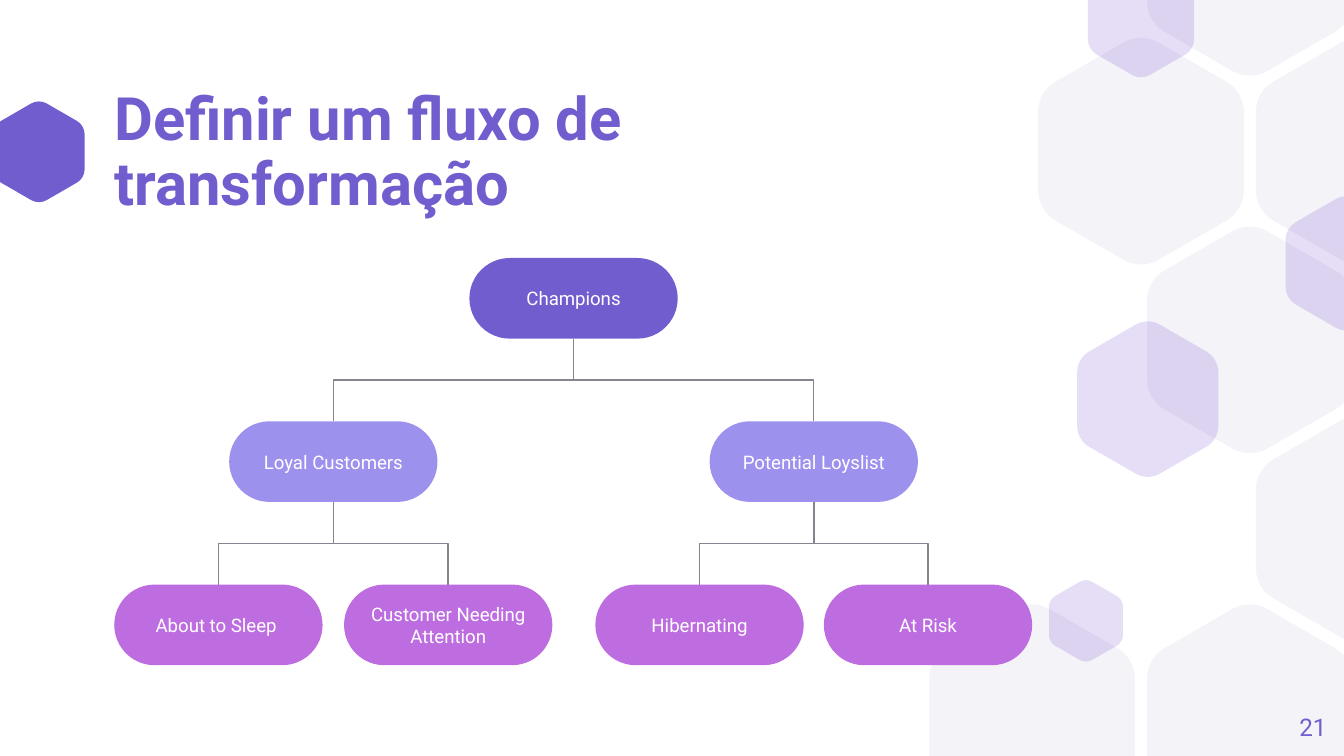
from dataclasses import dataclass
from itertools import chain
from math import sqrt

from lxml import etree
from pptx import Presentation
from pptx import util as u
from pptx.dml.color import RGBColor
from pptx.enum import shapes, text
from pptx.oxml.ns import qn


@dataclass(frozen=True)
class Theme:
    """Colours, font and type sizes of the deck."""
    font: str = "Roboto"
    violet: str = "725DCF"
    lilac: str = "9D91EE"
    orchid: str = "BD6DE0"
    pale: str = "F4F3F8"
    tint: str = "5322C9"
    rule: str = "89828F"
    white: str = "FFFFFF"
    title_size: int = 32
    number_size: int = 13
    node_size: int = 10
    rule_width: float = 0.75


THEME = Theme()
COLUMNS, ROWS = 10, 5.625
WIDTH, HEIGHT = u.Inches(COLUMNS), u.Inches(ROWS)
NODE_WIDTH, NODE_HEIGHT = 1.55, 0.6
TREE_TOP, LEVEL_STEP = 1.92, 1.215
LEVELS = [
    (THEME.violet, ["Champions"]),
    (THEME.lilac, ["Loyal Customers", "Potential Loyslist"]),
    (THEME.orchid, ["About to Sleep ", "Customer Needing Attention", "Hibernating", "At Risk"]),
]
LEAF_LEFTS = [0.85, 2.56, 4.43, 6.13]
COMB_CELLS = [(0, 4), (2, 4), (3, 1), (2, 0), (2, 2), (1, 1), (3, 3)]
TINTED_HEXAGONS = [(10.02, 1.96, 0.91), (8.08, 4.62, 0.55), (8.49, 0.14, 0.79), (8.54, 2.97, 1.05)]


def grid(count):
    """Convert a count of square grid cells to a length."""
    return u.Emu(round(count * WIDTH / COLUMNS))


def paint(shape, color, alpha=None):
    """Give a shape a plain fill without line or shadow."""
    shape.shadow.inherit = False
    shape.line.fill.background()
    shape.fill.solid()
    shape.fill.fore_color.rgb = RGBColor.from_string(color)
    if alpha is not None:
        tone = shape._element.spPr.find(qn("a:solidFill")).find(qn("a:srgbClr"))
        etree.SubElement(tone, qn("a:alpha"), val=str(alpha * 1000))


def write(shape, words, size, color, align, inset=0, spacing=None):
    """Write one wrapped, vertically centred paragraph into a shape."""
    frame = shape.text_frame
    frame.word_wrap = True
    frame.vertical_anchor = text.MSO_ANCHOR.MIDDLE
    frame.margin_left = frame.margin_right = grid(inset)
    frame.margin_top = frame.margin_bottom = grid(inset)
    paragraph = frame.paragraphs[0]
    paragraph.text = words
    paragraph.alignment = align
    paragraph.line_spacing = spacing
    paragraph.font.name = THEME.font
    paragraph.font.size = u.Pt(size)
    paragraph.font.color.rgb = RGBColor.from_string(color)
    return paragraph


def add_label(page, box, words, size, align, spacing=None):
    """Add a violet text box."""
    label = page.shapes.add_textbox(*map(grid, box))
    return write(label, words, size, THEME.violet, align, spacing=spacing)


def toward(start, end, share):
    """Find the point at a share of the way between two points."""
    return tuple(a + (b - a) * share for a, b in zip(start, end))


def soften(corner, before, after, cut=1 / 6, pull=0.6):
    """Return the four handles of the curve that rounds a corner."""
    start, end = toward(corner, before, cut), toward(corner, after, cut)
    return [start, toward(start, corner, pull), toward(end, corner, pull), end]


def hexagon_pieces(x, y, width):
    """List curves for corners on the page and plain points where it cuts."""
    half, radius = width / 2, width / sqrt(3)
    corners = [(x + half, y + radius / 2), (x + half, y - radius / 2), (x, y - radius),
               (x - half, y - radius / 2), (x - half, y + radius / 2), (x, y + radius)]
    pieces = []
    for index, corner in enumerate(corners):
        if 0 <= corner[1] <= ROWS:
            pieces.append(soften(corner, corners[index - 1], corners[(index + 1) % 6]))
        elif corner[0] != x:
            pieces.append([(corner[0], min(max(corner[1], 0), ROWS))])
    return pieces


def bend(outline, pieces):
    """Turn the lines through each set of four handles into one curve."""
    course = next(outline._element.iter(qn("a:path")))
    steps = iter(list(course))
    for piece in pieces:
        lines = [next(steps) for _ in piece][1:]
        if lines:
            curve = etree.Element(qn("a:cubicBezTo"))
            lines[0].addprevious(curve)
            for line in lines:
                curve.append(line[0])
                course.remove(line)


def add_hexagon(page, x, y, width, color, alpha=None):
    """Add an upright rounded hexagon, cut at the top and bottom of the page."""
    pieces = hexagon_pieces(x, y, width)
    points = [tuple(map(grid, point)) for point in chain.from_iterable(pieces)]
    builder = page.shapes.build_freeform(*points[0])
    builder.add_line_segments(points[1:])
    outline = builder.convert_to_shape()
    bend(outline, pieces)
    paint(outline, color, alpha)


def add_backdrop(page):
    """Add the title marker, the honeycomb and its tinted accents."""
    add_hexagon(page, 0.29, 1.13, 0.68, THEME.violet)
    for column, row in COMB_CELLS:
        add_hexagon(page, 7.68 + 0.81 * column, -0.28 + 1.405 * row, 1.53, THEME.pale)
    for x, y, width in TINTED_HEXAGONS:
        add_hexagon(page, x, y, width, THEME.tint, 15)


def add_node(page, left, top, words, color):
    """Add a pill with its name."""
    box = map(grid, (left, top, NODE_WIDTH, NODE_HEIGHT))
    pill = page.shapes.add_shape(shapes.MSO_SHAPE.ROUNDED_RECTANGLE, *box)
    pill.adjustments[0] = 0.5
    paint(pill, color)
    write(pill, words, THEME.node_size, THEME.white, text.PP_ALIGN.CENTER, inset=0.1)


def add_branch(page, parent, child, top):
    """Add an elbow from a parent down to a child, turned to leave vertically."""
    drop = LEVEL_STEP - NODE_HEIGHT
    middle = (parent + child + NODE_WIDTH) / 2
    center = top + NODE_HEIGHT + drop / 2
    reach = abs(child - parent) / 2
    lean = drop / 2 if child > parent else -drop / 2
    ends = (middle + lean, center - reach, middle - lean, center + reach)
    branch = page.shapes.add_connector(shapes.MSO_CONNECTOR.ELBOW, *map(grid, ends))
    branch.line.width = u.Pt(THEME.rule_width)
    branch.line.color.rgb = RGBColor.from_string(THEME.rule)
    properties = branch._element.spPr
    properties.find(qn("a:xfrm")).set("rot", str(270 * 60000))
    etree.SubElement(properties, qn("a:effectLst"))


def add_tree(page):
    """Add all levels, each parent centred over its pair, then the branches."""
    rows = [LEAF_LEFTS]
    while len(rows) < len(LEVELS):
        rows.insert(0, [sum(pair) / 2 for pair in zip(rows[0][::2], rows[0][1::2])])
    tops = [TREE_TOP + LEVEL_STEP * level for level in range(len(LEVELS))]
    for (color, names), lefts, top in zip(LEVELS, rows, tops):
        for words, left in zip(names, lefts):
            add_node(page, left, top, words, color)
    for parents, children, top in zip(rows, rows[1:], tops):
        for index, child in enumerate(children):
            add_branch(page, parents[index // 2], child, top)


def main():
    """Build and save the slide."""
    deck = Presentation()
    deck.slide_width, deck.slide_height = WIDTH, HEIGHT
    page = deck.slides.add_slide(deck.slide_layouts[6])
    add_backdrop(page)
    title = add_label(page, (0.85, 0.93, 6.76, 0.43), "Definir um fluxo de transformação",
                      THEME.title_size, text.PP_ALIGN.LEFT, spacing=0.9)
    title.font.bold = True
    add_label(page, (9.27, 5.19, 0.6, 0.43), "21", THEME.number_size, text.PP_ALIGN.RIGHT)
    add_tree(page)
    deck.save("out.pptx")


if __name__ == "__main__":
    main()
